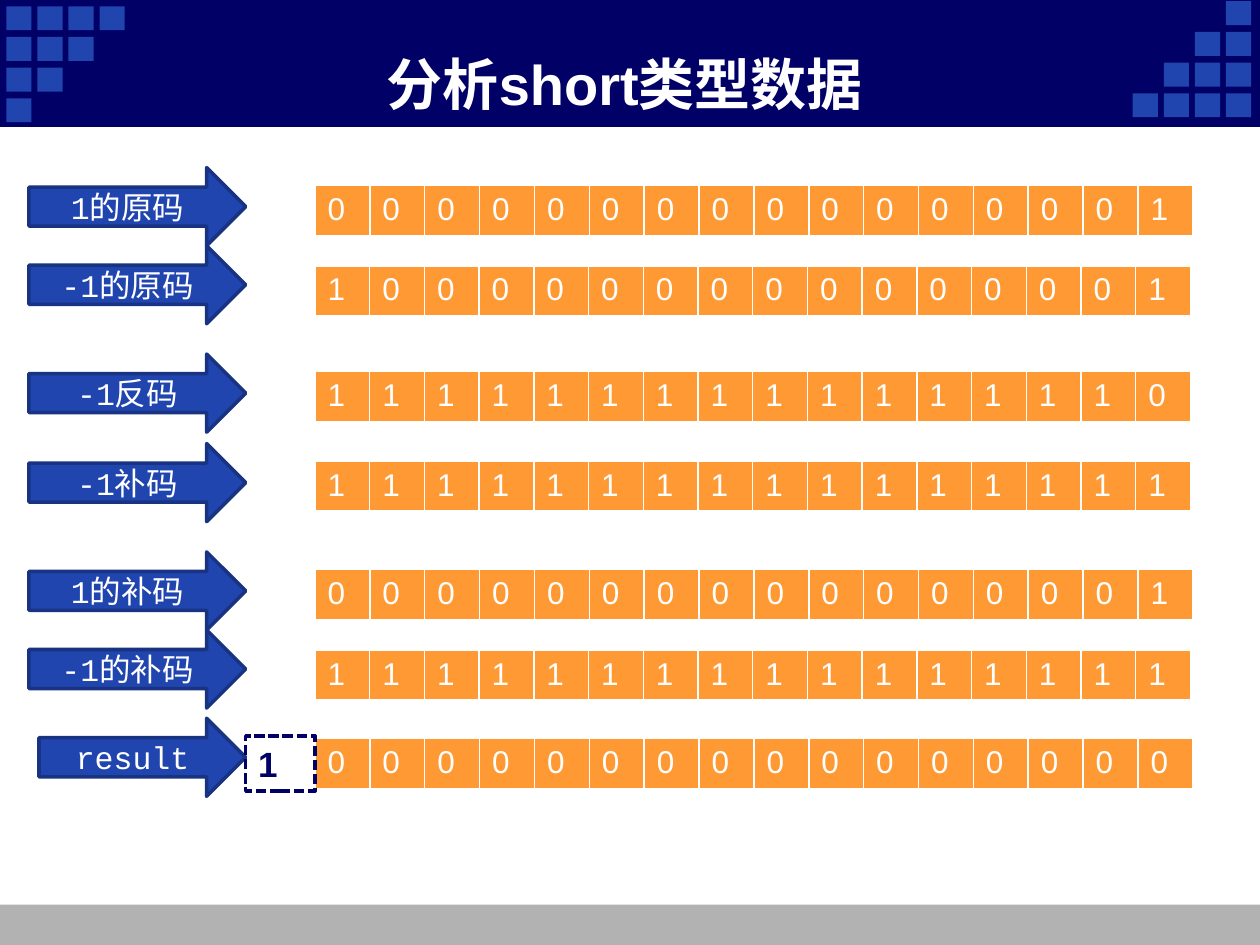
from collections import namedtuple
from lxml.etree import SubElement
from pptx import Presentation
from pptx.dml.color import RGBColor
from pptx.enum.dml import MSO_LINE as Dash
from pptx.enum.shapes import MSO_SHAPE as Kind
from pptx.enum.text import MSO_ANCHOR as Anchor, MSO_AUTO_SIZE as Auto, PP_ALIGN as Align
from pptx.oxml.ns import qn
from pptx.util import Inches, Pt

WHITE = RGBColor(0xFF, 0xFF, 0xFF)
NAVY = RGBColor(0x00, 0x00, 0x66)
BLUE = RGBColor(0x20, 0x45, 0xAE)
EDGE = RGBColor(0x18, 0x33, 0x81)
GREY = RGBColor(0xB2, 0xB2, 0xB2)
ORANGE = RGBColor(0xFF, 0x99, 0x33)

WIDE, HIGH = Inches(10), Inches(7.5)
COL, ROW = WIDE / 100, HIGH / 75
Box = namedtuple("Box", "x y w h")

HEAD = {"name": "Arial", "size": Pt(32), "bold": True}
BIT = {"name": "Arial", "size": Pt(18), "bold": False}
CODE = {"name": "Courier New", "size": Pt(18), "bold": False}
CARRY = {"name": "Arial", "size": Pt(20), "bold": True}
RULES = {"a:lnL": 1, "a:lnR": 1, "a:lnT": 1, "a:lnB": 3}

ROWS = [
    ("1的原码", "0" * 15 + "1", Box(2.3, 13.3, 92.4, 6.2), 1.4),
    ("-1的原码", "1" + "0" * 14 + "1", Box(2.3, 19.5, 92.2, 6.2), 1.6),
    ("-1反码", "1" * 15 + "0", Box(2.3, 28.1, 92.2, 6.2), 1.4),
    ("-1补码", "1" * 16, Box(2.3, 35.2, 92.2, 6.2), 1.4),
    ("1的补码", "0" * 15 + "1", Box(2.3, 43.8, 92.4, 6.2), 1.4),
    ("-1的补码", "1" * 16, Box(2.3, 50, 92.2, 6.2), 1.6),
    ("result", "0" * 16, Box(3.1, 57, 91.6, 6.2), 1.6),
]
TABLE, TIP, TALL = 25, 19.5, 4.1


def place(box):
    """Turn a box of grid cells into slide lengths."""
    return [int(n * unit) for n, unit in zip(box, (COL, ROW, COL, ROW))]


def write(frame, text, form, color, align=Align.LEFT):
    """Put one formatted line in a text frame."""
    frame.text = text
    frame.vertical_anchor = Anchor.MIDDLE
    line = frame.paragraphs[0]
    line.alignment = align
    font = line.runs[0].font
    for key, value in form.items():
        setattr(font, key, value)
    font.color.rgb = color


def draw(slide, kind, box, fill=None, edge=None, width=2):
    """Add a flat shape with an optional fill and outline."""
    shape = slide.shapes.add_shape(kind, *place(box))
    shape.shadow.inherit = False
    for part, color in ((shape.fill, fill), (shape.line.fill, edge)):
        if color is None:
            part.background()
        else:
            part.solid()
            part.fore_color.rgb = color
    if edge is not None:
        shape.line.width = Pt(width)
    return shape


def stairs(slide, box, turn=False):
    """Fill one corner of a box with a staircase of squares."""
    wide, tall = 2, 1.9
    dx, dy = (box.w - wide) / 3, (box.h - tall) / 3
    for r in range(4):
        for c in range(4 - r):
            i, j = (3 - c, 3 - r) if turn else (c, r)
            draw(slide, Kind.RECTANGLE, Box(box.x + i * dx, box.y + j * dy, wide, tall), BLUE)


def banner(slide, box, text):
    """Draw the top band with its corner squares and title."""
    draw(slide, Kind.RECTANGLE, box, NAVY, NAVY, 0.75)
    stairs(slide, Box(box.x + 0.5, box.y + 0.5, 9.4, 9.2))
    stairs(slide, Box(box.x + box.w - 10.1, box.y + 0.1, 9.4, 9.2), True)
    title = slide.shapes.title
    title.element.getparent().append(title.element)
    spot = Box(box.x + 9.2, box.y + 3.5, 80.8, 6.2)
    title.left, title.top, title.width, title.height = place(spot)
    write(title.text_frame, text, HEAD, WHITE, Align.CENTER)
    title.text_frame.auto_size = Auto.NONE


def border(cell):
    """Rule the four sides of a cell in white."""
    props = cell._tc.get_or_add_tcPr()
    for tag, size in RULES.items():
        line = SubElement(props, qn(tag), w=str(Pt(size)))
        SubElement(SubElement(line, qn("a:solidFill")), qn("a:srgbClr"), val=str(WHITE))


def strip(slide, box, bits):
    """Lay out the bits as a table of one row."""
    table = slide.shapes.add_table(1, len(bits), *place(box)).table
    table.first_row = table.horz_banding = False
    for bit, col, cell in zip(bits, table.columns, table.rows[0].cells):
        col.width = int(box.w * COL / len(bits))
        border(cell)
        cell.fill.solid()
        cell.fill.fore_color.rgb = ORANGE
        write(cell.text_frame, bit, BIT, WHITE)
        cell.vertical_anchor = Anchor.TOP


def record(slide, box, label, bits, drop):
    """Pair an arrow label with its strip of bits."""
    strip(slide, Box(TABLE, box.y + drop, box.x + box.w - TABLE, TALL), bits)
    arrow = draw(slide, Kind.RIGHT_ARROW, Box(box.x, box.y, TIP - box.x, box.h), BLUE, EDGE)
    write(arrow.text_frame, label, CODE, WHITE, Align.CENTER)


def carry(slide, box, bit):
    """Show the overflow bit in a dashed frame."""
    frame = draw(slide, Kind.RECTANGLE, box, edge=NAVY)
    frame.line.dash_style = Dash.SQUARE_DOT
    write(frame.text_frame, bit, CARRY, NAVY)


def main():
    """Build and save the slide."""
    deck = Presentation()
    deck.slide_width, deck.slide_height = WIDE, HIGH
    slide = deck.slides.add_slide(deck.slide_layouts[5])
    draw(slide, Kind.RECTANGLE, Box(0, 71.8, 100, 3.2), GREY)
    banner(slide, Box(0, 0, 100, 10), "分析short类型数据")
    for label, bits, box, drop in ROWS:
        record(slide, box, label, bits, drop)
    carry(slide, Box(TIP, 58.4, TABLE - TIP, 4.4), "1")
    deck.save("out.pptx")


if __name__ == "__main__":
    main()
